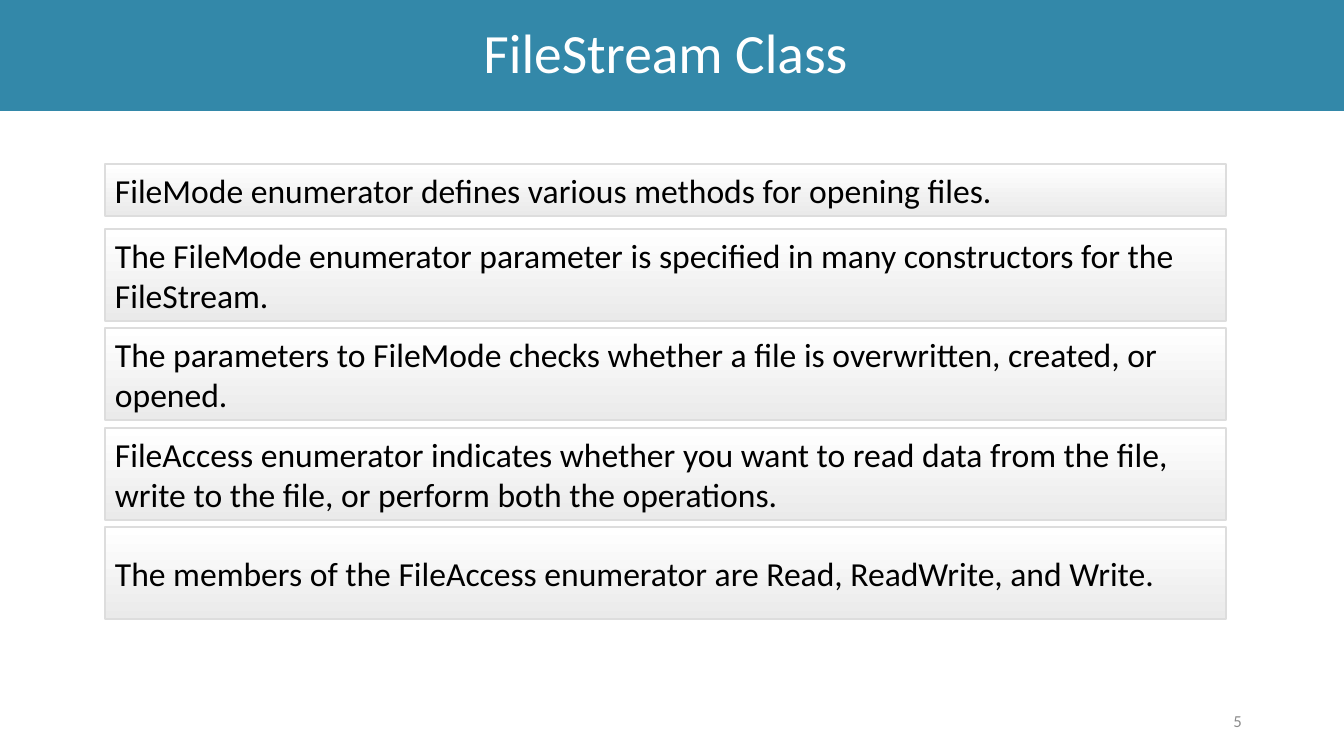
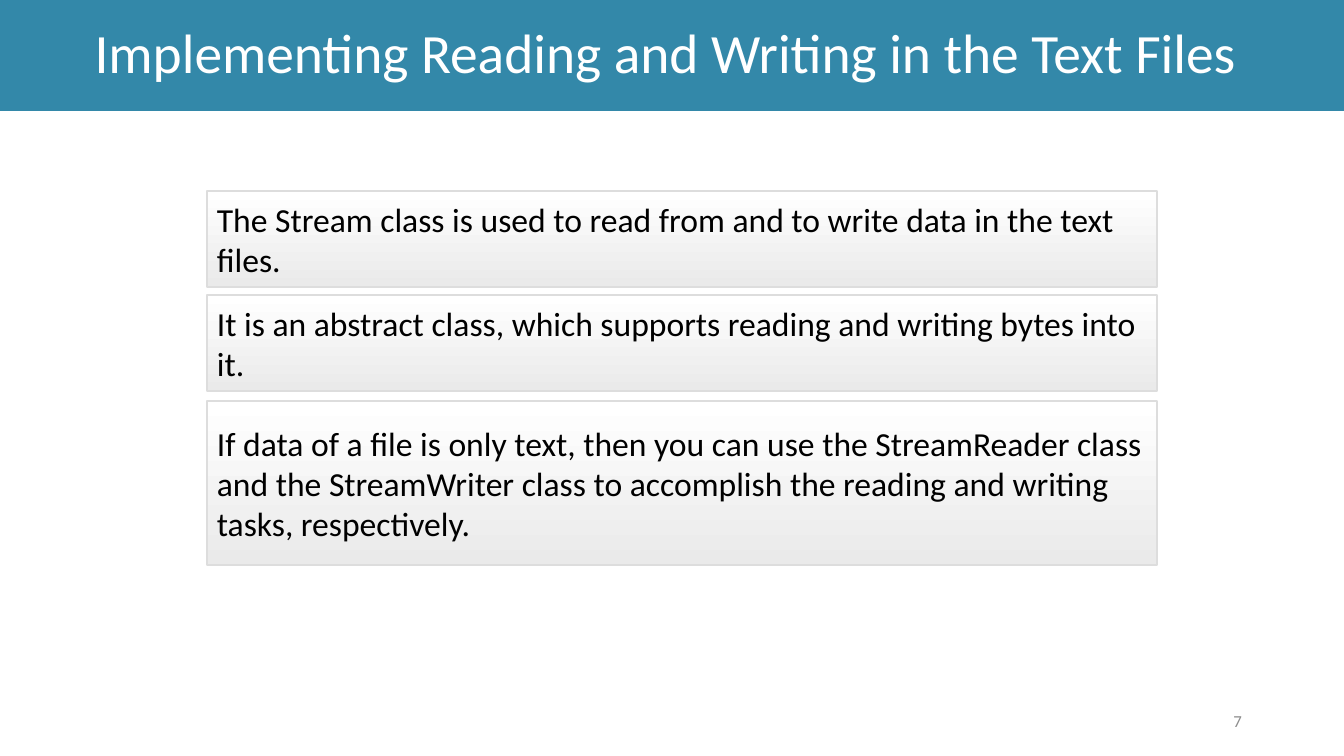
from pptx import Presentation
from pptx.dml.color import RGBColor
from pptx.enum.shapes import MSO_SHAPE
from pptx.enum.text import MSO_ANCHOR, MSO_AUTO_SIZE, PP_ALIGN
from pptx.util import Pt

SLIDES = [
    {
        "title": "FileStream Class",
        "number": "5",
        "left": 105,
        "width": 1121,
        "panels": [
            (164, 52, "FileMode enumerator defines various methods for opening files."),
            (229, 92, "The FileMode enumerator parameter is specified in many "
                      "constructors for the FileStream."),
            (328, 92, "The parameters to FileMode checks whether a file is "
                      "overwritten, created, or opened."),
            (428, 92, "FileAccess enumerator indicates whether you want to read data "
                      "from the file, write to the file, or perform both the operations."),
            (527, 92, "The members of the FileAccess enumerator are Read, ReadWrite, "
                      "and Write."),
        ],
    },
    {
        "title": "Implementing Reading and Writing in the Text Files",
        "number": "7",
        "left": 207,
        "width": 950,
        "panels": [
            (191, 96, "The Stream class is used to read from and to write data in the "
                      "text files."),
            (295, 96, "It is an abstract class, which supports reading and writing "
                      "bytes into it."),
            (401, 164, "If data of a file is only text, then you can use the "
                       "StreamReader class and the StreamWriter class to accomplish "
                       "the reading and writing tasks, respectively."),
        ],
    },
]

FONT = "Calibri"
WHITE = RGBColor(0xFF, 0xFF, 0xFF)
BLACK = RGBColor(0x00, 0x00, 0x00)
BAND_BLUE = RGBColor(0x33, 0x88, 0xA9)
PANEL_GREY = RGBColor(0xEA, 0xEA, 0xEA)
PANEL_EDGE = RGBColor(0xDD, 0xDD, 0xDD)
NUMBER_GREY = RGBColor(0x8C, 0x8C, 0x8C)

SLIDE_WIDTH, SLIDE_HEIGHT = 1344, 756
BAND_HEIGHT = 111
TITLE_RIGHT_INSET = 23
NUMBER_BOX = (950, 701, 302, 40)


def px(pixels):
    return round(pixels * 914400 / 100.8)


def write(shape, text, size, color, align):
    frame = shape.text_frame
    frame.word_wrap = True
    frame.auto_size = MSO_AUTO_SIZE.NONE
    frame.vertical_anchor = MSO_ANCHOR.MIDDLE
    paragraph = frame.paragraphs[0]
    paragraph.alignment = align
    run = paragraph.add_run()
    run.text = text
    run.font.name = FONT
    run.font.size = Pt(size)
    run.font.color.rgb = color


def add_title(slide, text):
    band = slide.shapes.title
    band.left, band.top = 0, 0
    band.width, band.height = px(SLIDE_WIDTH), px(BAND_HEIGHT)
    band.fill.solid()
    band.fill.fore_color.rgb = BAND_BLUE
    write(band, text, 39.6, WHITE, PP_ALIGN.CENTER)
    band.text_frame.margin_right = px(TITLE_RIGHT_INSET)
    band.text_frame.paragraphs[0].line_spacing = 0.9


def add_number(slide, number):
    box = slide.shapes.add_textbox(*map(px, NUMBER_BOX))
    write(box, number, 12, NUMBER_GREY, PP_ALIGN.RIGHT)


def add_panel(slide, left, top, width, height, text):
    panel = slide.shapes.add_shape(
        MSO_SHAPE.RECTANGLE, *map(px, (left, top, width, height)))
    panel.shadow.inherit = False
    panel.fill.gradient()
    panel.fill.gradient_angle = 270
    for stop, color in zip(panel.fill.gradient_stops, (WHITE, PANEL_GREY)):
        stop.color.rgb = color
    panel.line.color.rgb = PANEL_EDGE
    panel.line.width = Pt(1)
    write(panel, text, 24, BLACK, PP_ALIGN.LEFT)


prs = Presentation()
prs.slide_width, prs.slide_height = px(SLIDE_WIDTH), px(SLIDE_HEIGHT)
title_only = prs.slide_layouts[5]

for content in SLIDES:
    slide = prs.slides.add_slide(title_only)
    add_title(slide, content["title"])
    add_number(slide, content["number"])
    for top, height, text in content["panels"]:
        add_panel(slide, content["left"], top, content["width"], height, text)

prs.save("out.pptx")
